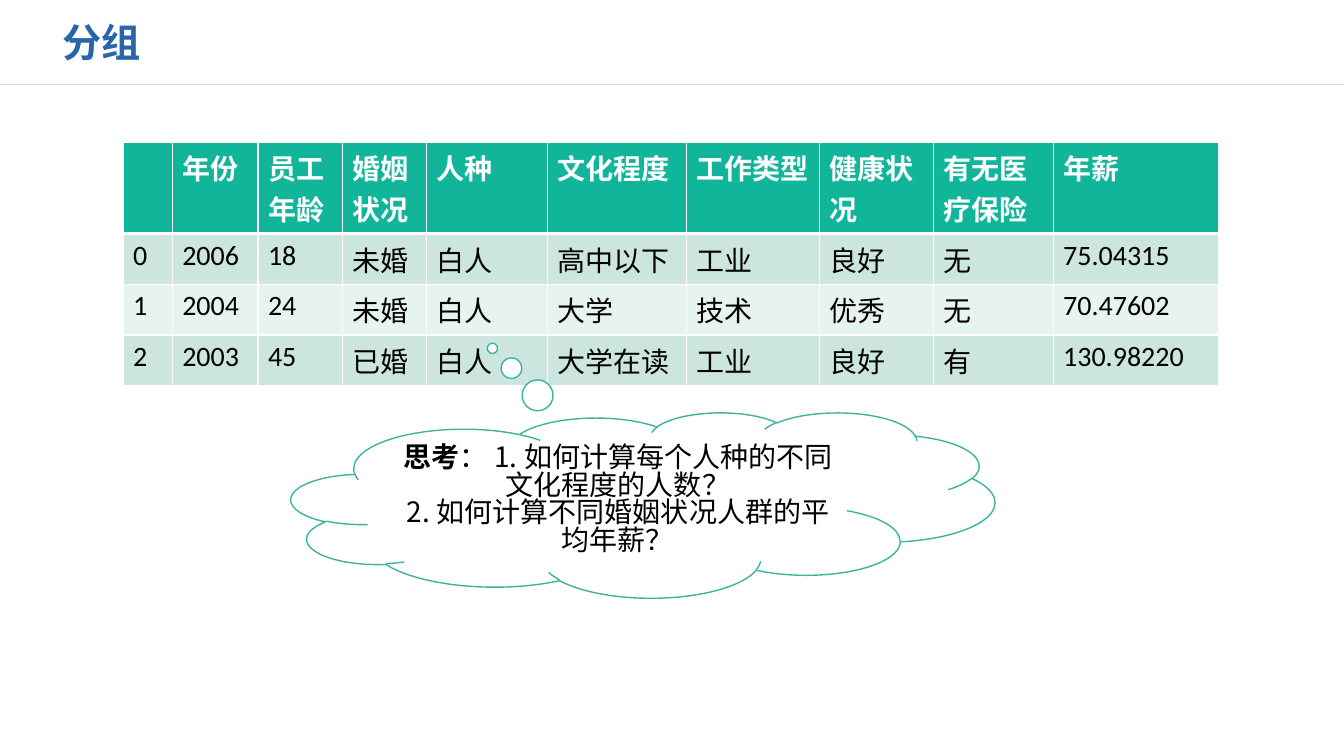
from pptx import Presentation
from pptx.dml.color import RGBColor
from pptx.enum.shapes import MSO_CONNECTOR, MSO_SHAPE
from pptx.enum.text import MSO_ANCHOR, MSO_AUTO_SIZE, PP_ALIGN
from pptx.oxml import parse_xml
from pptx.oxml.ns import nsdecls
from pptx.util import Cm, Pt

WHITE = RGBColor(0xFF, 0xFF, 0xFF)
BLACK = RGBColor(0x00, 0x00, 0x00)
TITLE_BLUE = RGBColor(0x29, 0x65, 0xAB)
RULE_GRAY = RGBColor(0xD9, 0xD9, 0xD9)
HEADER_GREEN = RGBColor(0x11, 0xB5, 0x9A)
BAND_DARK = RGBColor(0xCC, 0xE5, 0xDE)
BAND_LIGHT = RGBColor(0xE7, 0xF3, 0xEF)
CLOUD_GREEN = RGBColor(0x3D, 0xB3, 0x9E)

HAN_FONT = "Noto Sans CJK SC"
TITLE_FORMAT = {"name": HAN_FONT, "size": Pt(28), "bold": True}
HEADER_FORMAT = {"name": "Calibri", "size": Pt(20), "bold": True}
BODY_FORMAT = {**HEADER_FORMAT, "bold": False}
CLOUD_FORMAT = {"name": HAN_FONT, "size": Pt(20), "bold": False}
CLOUD_BOLD = {**CLOUD_FORMAT, "bold": True}

COLUMN_WIDTHS = [1.24, 2.16, 2.13, 2.11, 3.05, 3.51, 3.35, 2.87, 3.02, 4.17]
ROW_HEIGHTS = [1.96, 1.09, 1.09, 1.09]
EMPLOYEES = [
    ["", "年份", "员工年龄", "婚姻状况", "人种", "文化程度", "工作类型", "健康状况", "有无医疗保险", "年薪"],
    ["0", "2006", "18", "未婚", "白人", "高中以下", "工业", "良好", "无", "75.04315"],
    ["1", "2004", "24", "未婚", "白人", "大学", "技术", "优秀", "无", "70.47602"],
    ["2", "2003", "45", "已婚", "白人", "大学在读", "工业", "良好", "有", "130.98220"],
]
QUESTIONS = [
    [("思考", CLOUD_BOLD), ("：1.如何计算每个人种的不同文化程度的人数？", CLOUD_FORMAT)],
    [("2.如何计算不同婚姻状况人群的平均年薪？", CLOUD_FORMAT)],
]


class SlideBuilder:
    def __init__(self, deck):
        self.page = deck.slides.add_slide(deck.slide_layouts[5])

    def add_span(self, para, text, font_format, color):
        span = para.add_run()
        span.text = text
        for name, value in font_format.items():
            setattr(span.font, name, value)
        span.font.color.rgb = color
        east_asian = parse_xml(f'<a:ea {nsdecls("a")} typeface="{HAN_FONT}"/>')
        span.font._element.find("{*}latin").addnext(east_asian)

    def title(self, text, left, top, width, height):
        box = self.page.shapes.title
        place = {"left": left, "top": top, "width": width, "height": height}
        for name, value in place.items():
            setattr(box, name, Cm(value))
        frame = box.text_frame
        frame.auto_size = MSO_AUTO_SIZE.NONE
        frame.vertical_anchor = MSO_ANCHOR.MIDDLE
        frame.paragraphs[0].alignment = PP_ALIGN.LEFT
        self.add_span(frame.paragraphs[0], text, TITLE_FORMAT, TITLE_BLUE)

    def rule(self, top, width):
        line = self.page.shapes.add_connector(
            MSO_CONNECTOR.STRAIGHT, 0, Cm(top), Cm(width), Cm(top))
        line.line.color.rgb = RULE_GRAY
        line.line.width = Pt(1)
        line._element.spPr.append(parse_xml(f'<a:effectLst {nsdecls("a")}/>'))

    def border_cell(self, cell, widths):
        """Draw white borders; widths maps a side letter to points."""
        properties = cell._tc.get_or_add_tcPr()
        for index, side in enumerate("LRTB"):
            properties.insert(index, parse_xml(
                f'<a:ln{side} {nsdecls("a")} w="{Pt(widths[side])}"><a:solidFill>'
                f'<a:srgbClr val="{WHITE}"/></a:solidFill></a:ln{side}>'))

    def table(self, records, left, top):
        frame = self.page.shapes.add_table(
            len(records), len(COLUMN_WIDTHS), Cm(left), Cm(top),
            Cm(sum(COLUMN_WIDTHS)), Cm(sum(ROW_HEIGHTS)))
        table = frame.table
        for column, width in zip(table.columns, COLUMN_WIDTHS):
            column.width = Cm(width)
        for row, height in zip(table.rows, ROW_HEIGHTS):
            row.height = Cm(height)
        for row_index, record in enumerate(records):
            is_header = row_index == 0
            band = BAND_DARK if row_index % 2 else BAND_LIGHT
            for column_index, text in enumerate(record):
                cell = table.cell(row_index, column_index)
                cell.fill.solid()
                cell.fill.fore_color.rgb = HEADER_GREEN if is_header else band
                self.border_cell(cell, {
                    "L": 1, "R": 1,
                    "T": 3 if row_index == 1 else 1,
                    "B": 3 if is_header else 1})
                if text:
                    self.add_span(cell.text_frame.paragraphs[0], text,
                                  HEADER_FORMAT if is_header else BODY_FORMAT,
                                  WHITE if is_header else BLACK)

    def thought_cloud(self, paragraphs, left, top, width, height):
        cloud = self.page.shapes.add_shape(
            MSO_SHAPE.CLOUD_CALLOUT, Cm(left), Cm(top), Cm(width), Cm(height))
        cloud.adjustments[0] = -0.214
        cloud.adjustments[1] = -0.845
        cloud.shadow.inherit = False
        cloud.fill.solid()
        cloud.fill.fore_color.rgb = WHITE
        cloud.line.color.rgb = CLOUD_GREEN
        cloud.line.width = Pt(1)
        frame = cloud.text_frame
        frame.word_wrap = True
        frame.vertical_anchor = MSO_ANCHOR.MIDDLE
        for index, spans in enumerate(paragraphs):
            para = frame.add_paragraph() if index else frame.paragraphs[0]
            para.alignment = PP_ALIGN.CENTER
            para.line_spacing = 0.83
            for text, font_format in spans:
                self.add_span(para, text, font_format, BLACK)


def main():
    deck = Presentation()
    deck.slide_width = Cm(33.87)
    deck.slide_height = Cm(19.05)
    builder = SlideBuilder(deck)
    builder.rule(2.13, 33.87)
    builder.title("分组", 1.32, 0.33, 13.51, 1.47)
    builder.table(EMPLOYEES, 3.1, 3.58)
    builder.thought_cloud(QUESTIONS, 7.34, 10.39, 17.73, 4.67)
    deck.save("out.pptx")


if __name__ == "__main__":
    main()
